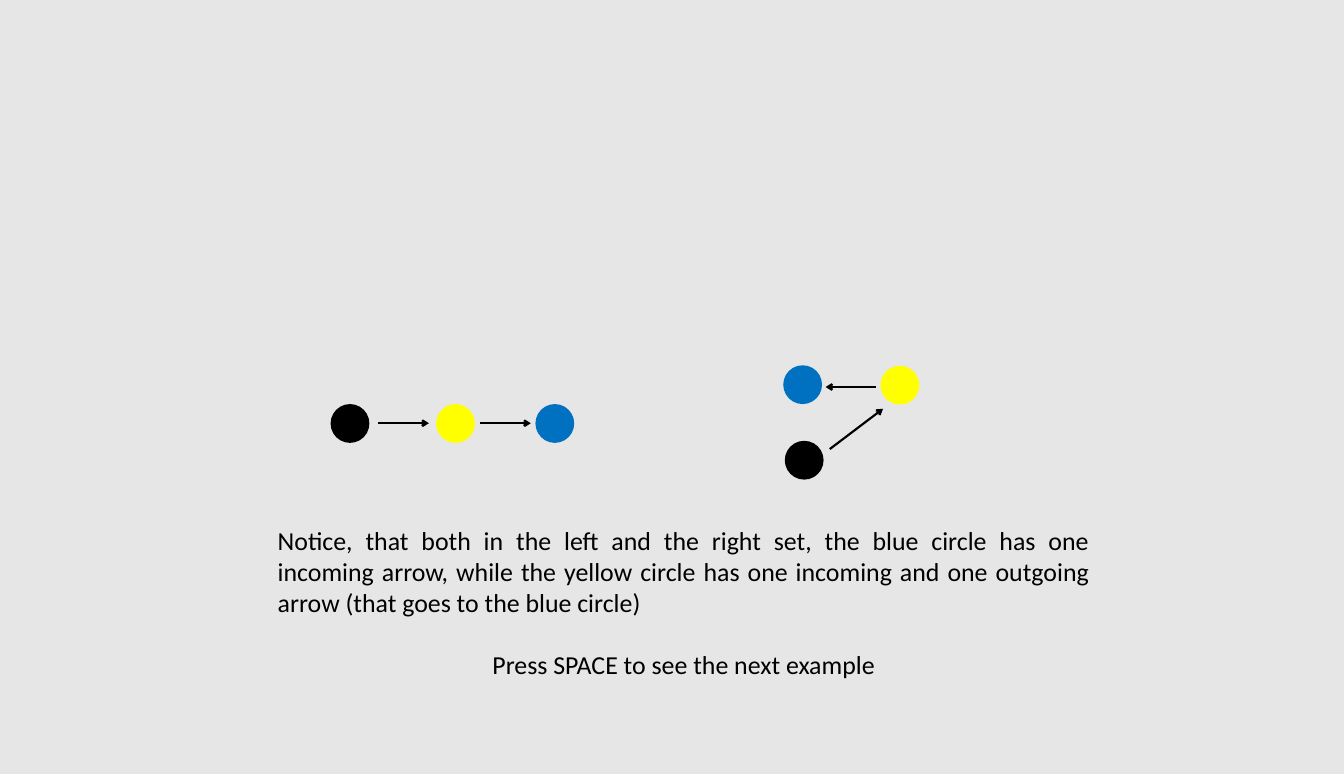
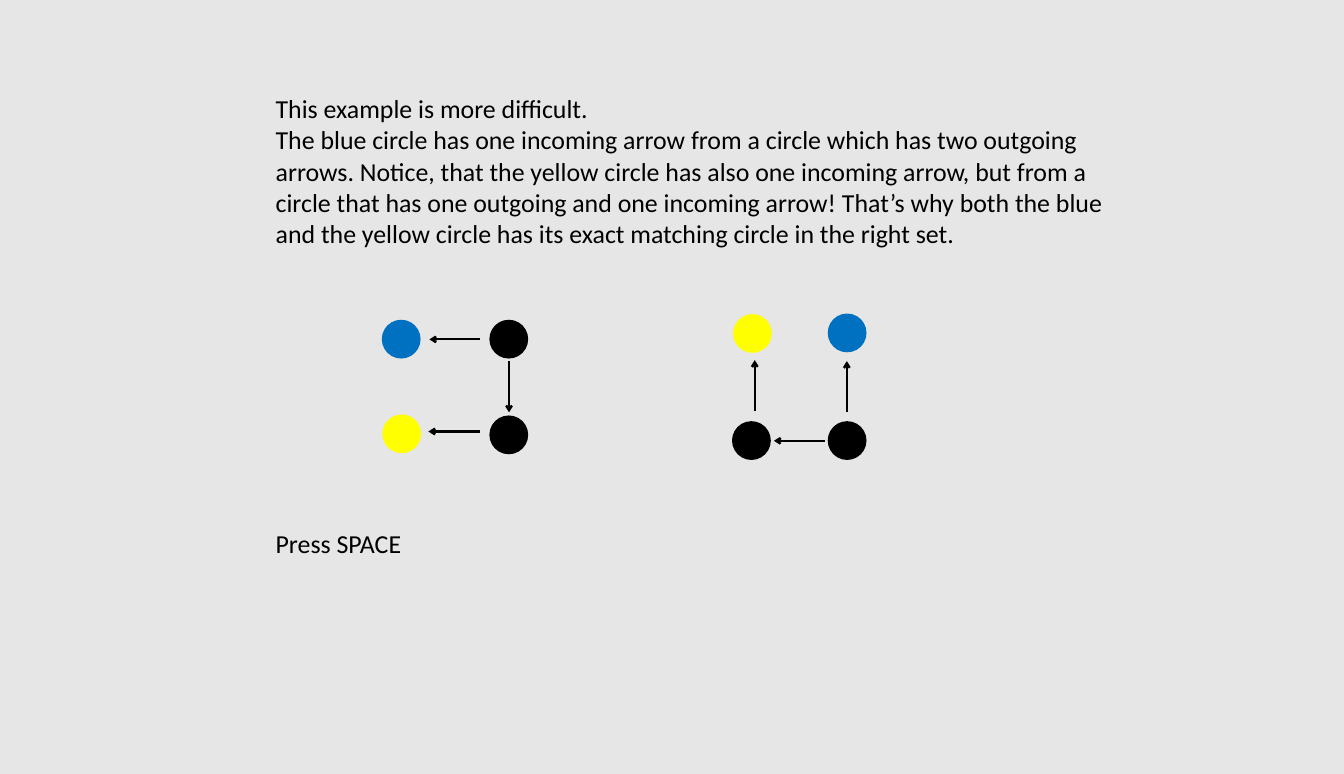
import pptx
import pptx.util
import pptx.dml.color
import pptx.enum.shapes
import pptx.enum.text
import pptx.oxml
import pptx.oxml.ns

Inches, Pt = pptx.util.Inches, pptx.util.Pt
ALIGN = pptx.enum.text.PP_ALIGN
ANCHOR = pptx.enum.text.MSO_ANCHOR

# Shared style
COLORS = {"ground": "E7E6E6", "black": "000000", "yellow": "FFFF00", "blue": "0070C0"}
SIZE = (25.98, 14.96)
DISC = 0.75
FONT = {"name": "Calibri", "size": Pt(36)}

# Content: text lines are (words, align, points of space before)
# sets hold discs (color, left, top) and arrows (from x, from y, to x, to y)
SLIDES = [
    {
        "box": (5.27, 0.46, 15.89, 13.43),
        "frame": {"vertical_anchor": ANCHOR.BOTTOM, "margin_bottom": Inches(0.75)},
        "text": [
            ("Notice, that both in the left and the right set, the blue circle has one "
             "incoming arrow, while the yellow circle has one incoming and one outgoing "
             "arrow (that goes to the blue circle)", ALIGN.JUSTIFY, 0),
            ("Press SPACE to see the next example", ALIGN.CENTER, 43),
        ],
        "sets": [
            ([("blue", 10.35, 7.81), ("yellow", 8.43, 7.81), ("black", 6.39, 7.81)],
             [(7.31, 8.18, 8.29, 8.18), (9.28, 8.18, 10.26, 8.18)]),
            ([("blue", 15.14, 7.06), ("yellow", 17.02, 7.07), ("black", 15.17, 8.52)],
             [(16.94, 7.48, 15.96, 7.48), (16.04, 8.68, 17.07, 7.9)]),
        ],
    },
    {
        "box": (5.23, 1.75, 17.02, 10.4),
        "frame": {"vertical_anchor": ANCHOR.TOP},
        "text": [
            ("This example is more difficult.", ALIGN.LEFT, 0),
            ("The blue circle has one incoming arrow from a circle which has two outgoing "
             "arrows. Notice, that the yellow circle has also one incoming arrow, but from a "
             "circle that has one outgoing and one incoming arrow! That’s why both the blue "
             "and the yellow circle has its exact matching circle in the right set.",
             ALIGN.LEFT, 0),
            ("Press SPACE", ALIGN.LEFT, 389),
        ],
        "sets": [
            ([("blue", 7.38, 6.18), ("yellow", 7.39, 8.01),
              ("black", 9.46, 6.18), ("black", 9.46, 8.03)],
             [(9.28, 6.56, 8.3, 6.56), (9.27, 8.34, 8.28, 8.34), (9.84, 6.98, 9.84, 7.97)]),
            ([("blue", 16, 6.06), ("yellow", 14.17, 6.07),
              ("black", 16, 8.14), ("black", 14.15, 8.14)],
             [(16.37, 7.96, 16.37, 6.98), (14.59, 7.95, 14.59, 6.96),
              (15.95, 8.52, 14.96, 8.52)]),
        ],
    },
]


def paint(fill, color):
    fill.solid()
    fill.fore_color.rgb = pptx.dml.color.RGBColor.from_string(COLORS[color])


def apply(target, values):
    for name, value in values.items():
        setattr(target, name, value)


def add_text(slide, box, frame, lines):
    body = slide.shapes.add_textbox(*map(Inches, box)).text_frame
    apply(body, {"word_wrap": True, **frame})
    for i, (words, align, space) in enumerate(lines):
        para = body.add_paragraph() if i else body.paragraphs[0]
        apply(para, {"alignment": align, "space_before": Pt(space)})
        run = para.add_run()
        run.text = words
        apply(run.font, FONT)
        paint(run.font.fill, "black")


def add_disc(shapes, color, left, top):
    disc = shapes.add_shape(pptx.enum.shapes.MSO_SHAPE.OVAL,
                            *map(Inches, (left, top, DISC, DISC)))
    disc.shadow.inherit = False
    paint(disc.fill, color)
    disc.line.fill.background()


def add_arrow(shapes, ends):
    arrow = shapes.add_connector(pptx.enum.shapes.MSO_CONNECTOR.STRAIGHT, *map(Inches, ends))
    arrow.line.width = Pt(3)
    paint(arrow.line.fill, "black")
    qn, make = pptx.oxml.ns.qn, pptx.oxml.parse_xml
    space = pptx.oxml.ns.nsdecls("a")
    props = arrow._element.spPr
    props.find(qn("a:ln")).append(make(f'<a:tailEnd {space} type="arrow"/>'))
    props.append(make(f"<a:effectLst {space}/>"))


# Build
deck = pptx.Presentation()
deck.slide_width, deck.slide_height = map(Inches, SIZE)
paint(deck.slide_master.background.fill, "ground")
for page in SLIDES:
    slide = deck.slides.add_slide(deck.slide_layouts[6])
    add_text(slide, page["box"], page["frame"], page["text"])
    for discs, arrows in page["sets"]:
        group = slide.shapes.add_group_shape().shapes
        for disc in discs:
            add_disc(group, *disc)
        for ends in arrows:
            add_arrow(group, ends)
deck.save("out.pptx")
